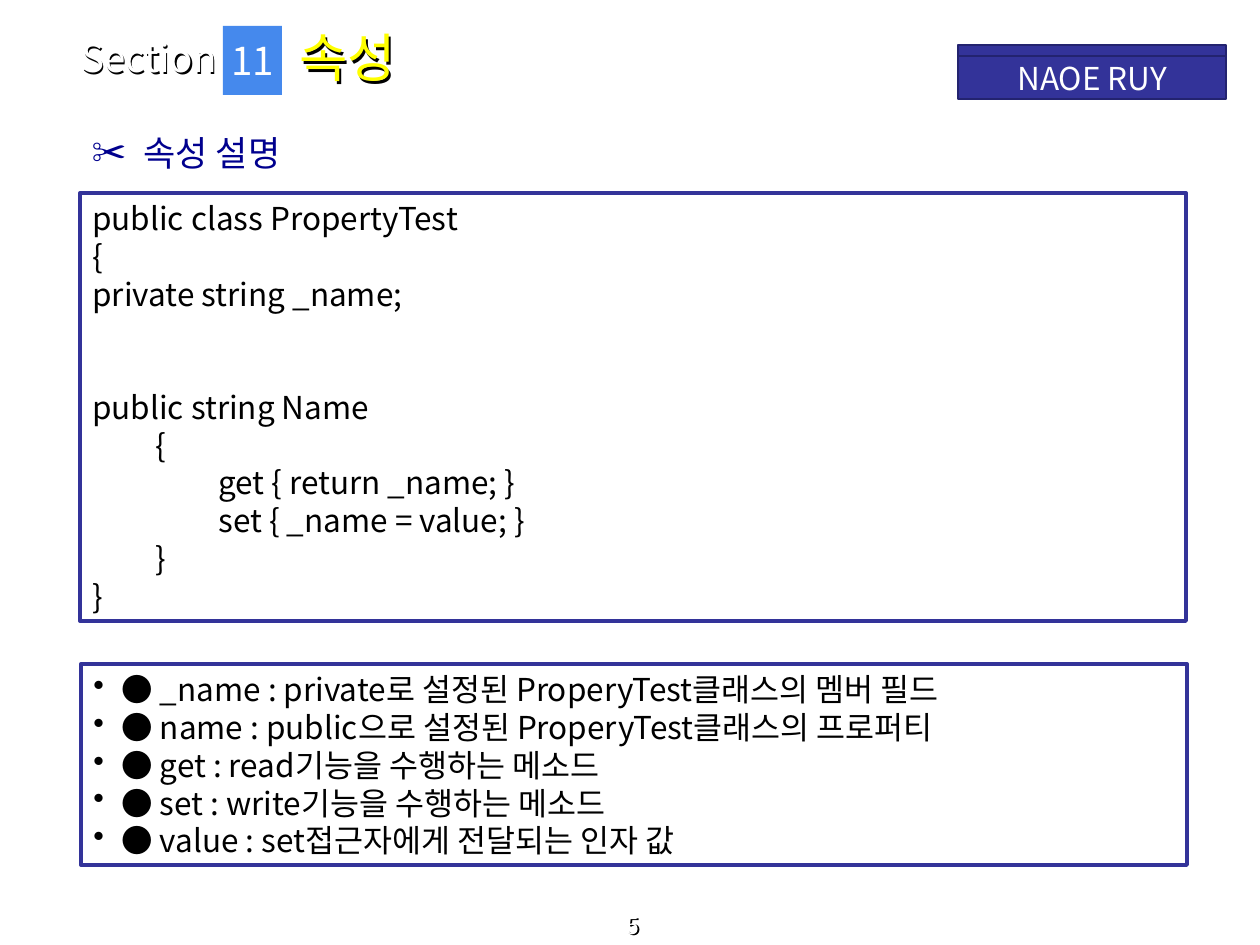
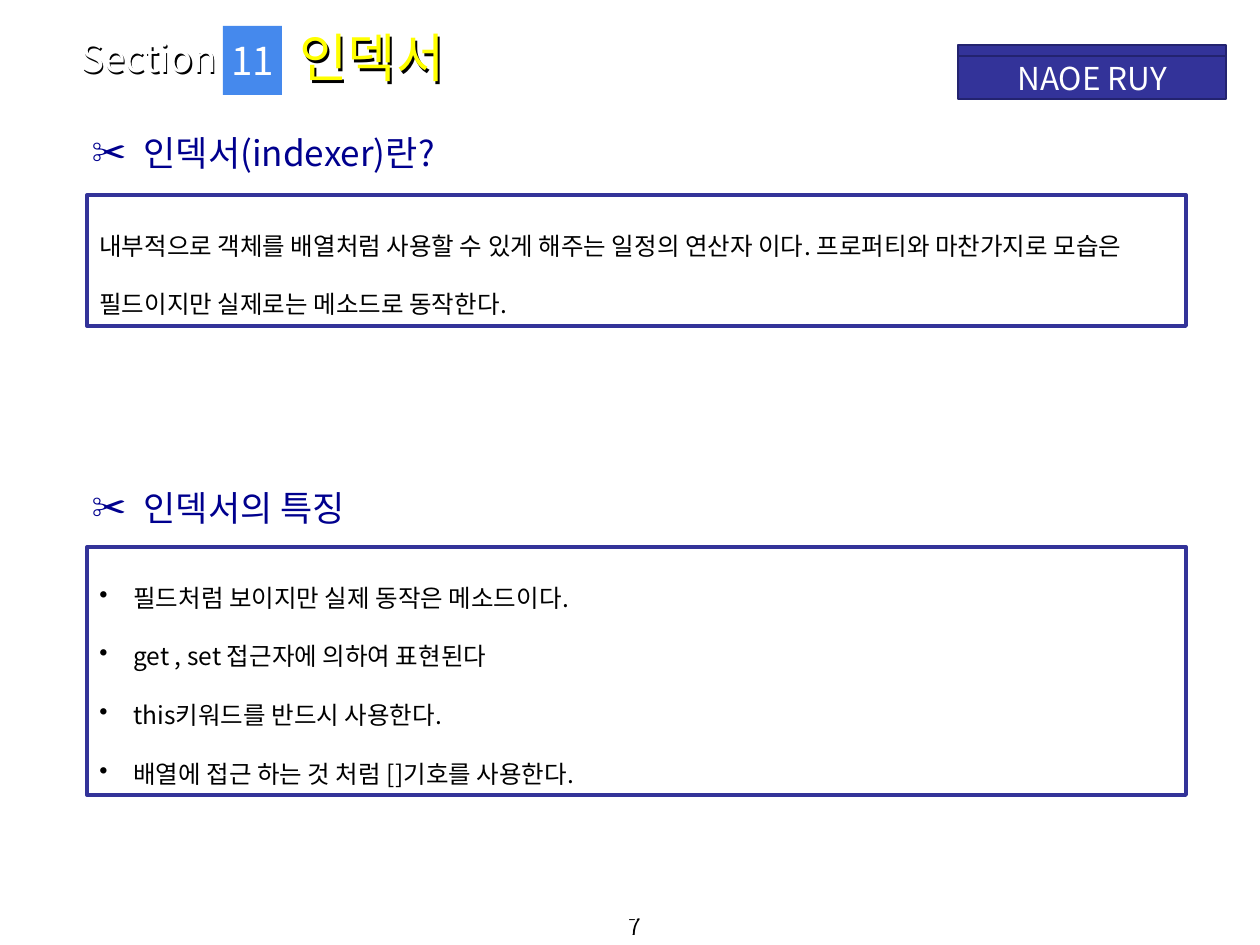
import dataclasses

import lxml.etree
import pptx
import pptx.dml.color
import pptx.enum.shapes
import pptx.enum.text
import pptx.oxml.ns
import pptx.util

ALIGN = pptx.enum.text.PP_ALIGN
ANCHOR = pptx.enum.text.MSO_ANCHOR
FIT = pptx.enum.text.MSO_AUTO_SIZE
RECT = pptx.enum.shapes.MSO_SHAPE.RECTANGLE
SCALE = 914400 / 126


def px(count):
    return pptx.util.Emu(round(count * SCALE))


def rgb(code):
    return pptx.dml.color.RGBColor.from_string(code)


def add(parent, tag, **attrs):
    node = lxml.etree.SubElement(parent, pptx.oxml.ns.qn(tag))
    for key, value in attrs.items():
        node.set(key, str(value))
    return node


@dataclasses.dataclass(frozen=True)
class Theme:
    font: str = "Noto Sans CJK KR"
    ink: str = "000000"
    paper: str = "FFFFFF"
    navy: str = "333399"
    edge: str = "23236F"
    blue: str = "4589ED"
    head: str = "00008E"
    gold: str = "FFFF00"
    title: int = 30
    label: int = 22
    topic: int = 20
    text: int = 18
    small: int = 14
    page: int = 13


@dataclasses.dataclass
class Line:
    """One paragraph: indent in px, gap above in points."""
    text: str
    indent: int = 0
    gap: int = 0


class Deck:
    def __init__(self, theme):
        self.theme = theme
        self.show = pptx.Presentation()
        self.show.slide_width, self.show.slide_height = px(1260), px(945)
        self.slide = None

    def place(self, shape, area):
        shape.left, shape.top, shape.width, shape.height = map(px, area)

    def shadow(self, shape, shift):
        """Cast a hard black shadow, which falls from the text of an unfilled shape."""
        effects = add(shape._element.spPr, "a:effectLst")
        outer = add(effects, "a:outerShdw", blurRad=0, dist=px(shift),
                    dir=2700000, algn="tl", rotWithShape=0)
        add(outer, "a:srgbClr", val=self.theme.ink)

    def letter(self, shape, lines, size, color, align=ALIGN.LEFT,
               anchor=ANCHOR.TOP, fit=FIT.NONE, wrap=True,
               bullet=None, hang=0, pitch=None):
        """Fill a shape with styled paragraphs."""
        frame = shape.text_frame
        frame.word_wrap, frame.auto_size = wrap, fit
        frame.vertical_anchor = anchor
        for index, line in enumerate(lines):
            para = frame.add_paragraph() if index else frame.paragraphs[0]
            para.text = line.text
            props = para._p.get_or_add_pPr()
            props.set("marL", str(px(line.indent)))
            props.set("indent", str(-px(hang)))
            if bullet:
                add(add(props, "a:buClr"), "a:srgbClr", val=color)
                add(props, "a:buChar", char=bullet)
            para.alignment = align
            para.space_before = pptx.util.Pt(line.gap)
            if pitch:
                para.line_spacing = pitch
            para.font.size = pptx.util.Pt(size)
            para.font.color.rgb = rgb(color)
            para.font.name = self.theme.font
            add(props.get_or_add_defRPr(), "a:ea", typeface=self.theme.font)

    def box(self, area, fill=None, line=None, width=1):
        shape = self.slide.shapes.add_shape(RECT, *map(px, area))
        shape.shadow.inherit = False
        if fill:
            shape.fill.solid()
            shape.fill.fore_color.rgb = rgb(fill)
        else:
            shape.fill.background()
        if line:
            shape.line.color.rgb = rgb(line)
            shape.line.width = pptx.util.Pt(width)
        else:
            shape.line.fill.background()
        return shape

    def label(self, area, text, size, shift, **style):
        shape = self.slide.shapes.add_textbox(*map(px, area))
        self.letter(shape, [Line(text)], size, self.theme.paper, **style)
        self.shadow(shape, shift)

    def panel(self, area, lines, size, **style):
        shape = self.box(area, line=self.theme.navy, width=2.25)
        self.letter(shape, lines, size, self.theme.ink,
                    fit=FIT.SHAPE_TO_FIT_TEXT, **style)

    def topics(self, height, *lines):
        body = self.slide.placeholders[1]
        self.place(body, (64, 125, 1109, height))
        self.letter(body, lines, self.theme.topic, self.theme.head,
                    bullet="✂", hang=52)

    def start(self, title, page):
        """Open a slide with its title, section mark, band and page number."""
        look = self.theme
        self.slide = self.show.slides.add_slide(self.show.slide_layouts[1])
        head = self.slide.shapes.title
        self.place(head, (287, 14, 818, 86))
        self.letter(head, [Line(title)], look.title, look.gold,
                    anchor=ANCHOR.MIDDLE)
        self.shadow(head, 3)

        self.box((958, 45, 268, 53), look.navy, look.edge)
        band = self.box((958, 56, 268, 43), look.navy, look.edge)
        self.letter(band, [Line("NAOE RUY")], look.text, look.paper,
                    ALIGN.CENTER, ANCHOR.MIDDLE)
        self.label((69, 34, 243, 47), "Section", look.label, 2,
                   anchor=ANCHOR.MIDDLE)
        mark = self.box((223, 26, 59, 69), look.blue)
        self.letter(mark, [Line("11")], look.label, look.paper,
                    ALIGN.CENTER, ANCHOR.MIDDLE, wrap=False)
        self.label((3, 917, 1260, 28), str(page), look.page, 2,
                   align=ALIGN.CENTER, anchor=ANCHOR.BOTTOM)


def props_slide(deck):
    deck.start("속성", 5)
    deck.topics(69, Line("속성 설명", 67))
    tab = 63
    code = [
        Line("public class PropertyTest"),
        Line("{"),
        Line("private string _name;"),
        Line("public string Name", gap=43),
        Line("{", tab),
        Line("get { return _name; }", 2 * tab),
        Line("set { _name = value; }", 2 * tab),
        Line("}", tab),
        Line("}"),
    ]
    deck.panel((80, 193, 1106, 428), code, deck.theme.text)
    terms = [
        "_name : private로 설정된 ProperyTest클래스의 멤버 필드",
        "name : public으로 설정된 ProperyTest클래스의 프로퍼티",
        "get : read기능을 수행하는 메소드",
        "set : write기능을 수행하는 메소드",
        "value : set접근자에게 전달되는 인자 값",
    ]
    deck.panel((81, 664, 1106, 201), [Line("● " + term, 28) for term in terms],
               deck.theme.text, bullet="•", hang=28)


def index_slide(deck):
    deck.start("인덱서", 7)
    deck.topics(436, Line("인덱서(indexer)란?", 67),
                Line("인덱서의 특징", 67, gap=179))
    deck.panel((87, 195, 1099, 131), [Line(
        "내부적으로 객체를 배열처럼 사용할 수 있게 해주는 일정의 연산자 이다. "
        "프로퍼티와 마찬가지로 모습은 필드이지만 실제로는 메소드로 동작한다.")],
        deck.theme.small, pitch=2.0)
    traits = [
        "필드처럼 보이지만 실제 동작은 메소드이다.",
        "get , set 접근자에 의하여 표현된다",
        "this키워드를 반드시 사용한다.",
        "배열에 접근 하는 것 처럼 []기호를 사용한다.",
    ]
    deck.panel((87, 547, 1099, 248), [Line(trait, 34) for trait in traits],
               deck.theme.small, bullet="•", hang=34, pitch=2.0)


def main():
    deck = Deck(Theme())
    props_slide(deck)
    index_slide(deck)
    deck.show.save("out.pptx")


if __name__ == "__main__":
    main()
